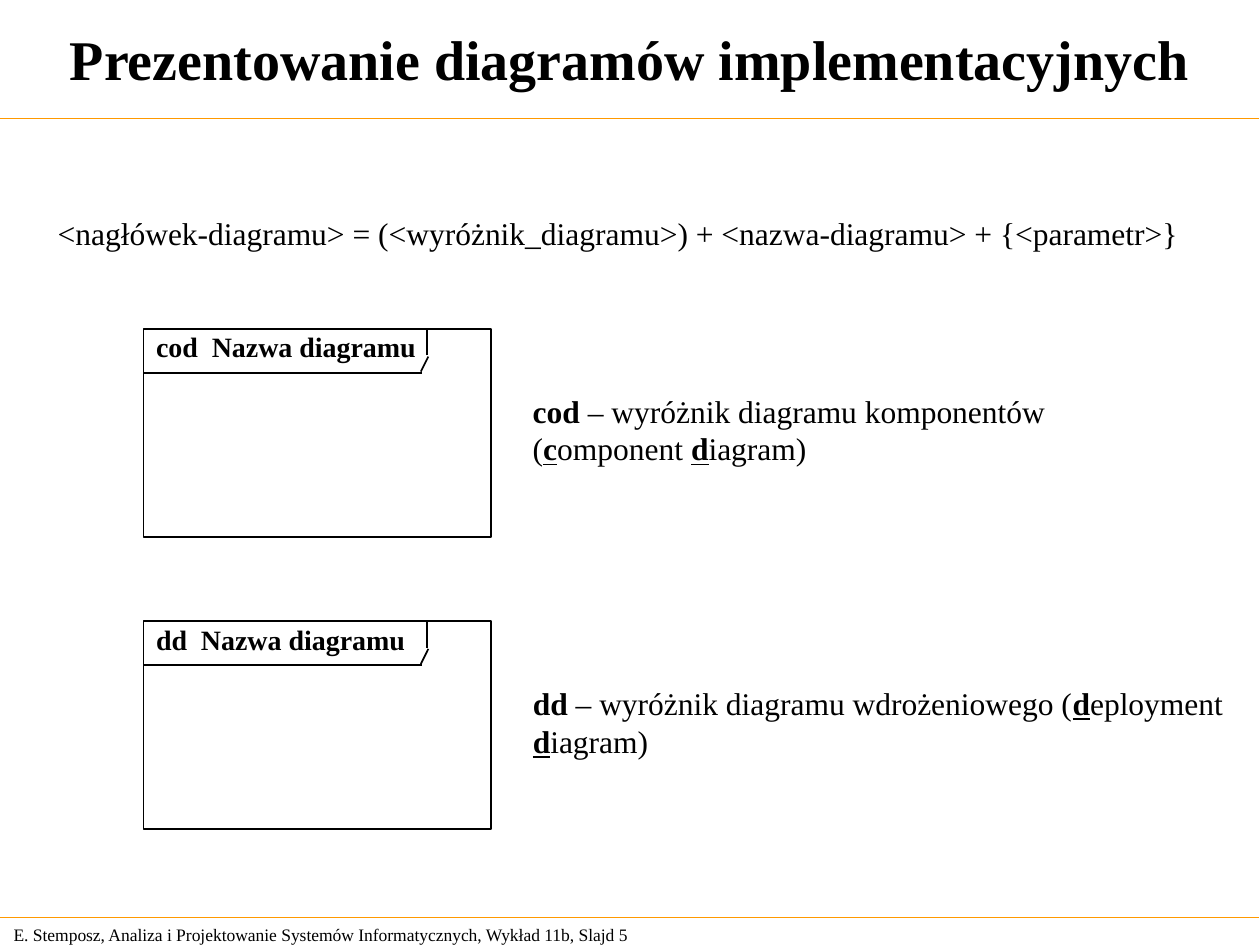
from dataclasses import dataclass

from lxml.etree import SubElement
from pptx import Presentation
from pptx.dml.color import RGBColor
from pptx.enum.shapes import MSO_CONNECTOR, MSO_SHAPE
from pptx.enum.text import MSO_ANCHOR, MSO_AUTO_SIZE, PP_ALIGN
from pptx.oxml.ns import qn
from pptx.util import Inches, Pt


@dataclass(frozen=True)
class Theme:
    font: str = "Times New Roman"
    ink: RGBColor = RGBColor(0x00, 0x00, 0x00)
    accent: RGBColor = RGBColor(0xFF, 0x99, 0x00)
    title_size: int = 32
    body_size: int = 18
    header_size: int = 16
    footer_size: int = 10
    frame_width: float = 1
    rule_width: float = 0.75


THEME = Theme()

# Content: runs are (text, style), with b for bold and u for underline
TITLE = "Prezentowanie diagramów implementacyjnych"
SYNTAX = "<nagłówek-diagramu> = (<wyróżnik_diagramu>) + <nazwa-diagramu> + {<parametr>}"
FOOTER = "E. Stemposz, Analiza i Projektowanie Systemów Informatycznych, Wykład 11b, Slajd 5"
DIAGRAMS = [
    {
        "header": "cod  Nazwa diagramu",
        "note_width": 5,
        "note": [("cod", "b"), (" – wyróżnik diagramu komponentów (", ""), ("c", "bu"),
                 ("omponent ", ""), ("d", "bu"), ("iagram)", "")],
    },
    {
        "header": "dd  Nazwa diagramu",
        "note_width": 5.79,
        "note": [("dd", "b"), (" – wyróżnik diagramu wdrożeniowego (", ""), ("d", "bu"),
                 ("eployment ", ""), ("d", "bu"), ("iagram)", "")],
    },
]

# Layout in inches
SLIDE_WIDTH, SLIDE_HEIGHT = 10, 7.5
RULE_LEFT, RULE_TOPS = -0.01, (0.94, 7.28)
FRAME_LEFT, FRAME_TOP, FRAME_WIDTH, FRAME_HEIGHT = 1.14, 2.61, 2.76, 1.65
FRAME_PITCH = 2.32
HEADER_WIDTH, HEADER_HEIGHT = 2.26, 0.37
NOTE_LEFT, NOTE_OFFSET = 4.13, 0.45
# Header tab edges, relative to the frame corner
TAB_EDGES = [
    ((0, 0.35), (2.21, 0.35)),
    ((2.2, 0.34), (2.26, 0.22)),
    ((2.25, 0.21), (2.25, 0)),
]


def style_paragraph(paragraph, size, bold=None):
    font = paragraph.font
    font.name, font.size, font.bold = THEME.font, Pt(size), bold
    font.color.rgb = THEME.ink


def add_text(shapes, runs, box, size, bold=None, wrap=True, anchor=MSO_ANCHOR.TOP):
    frame = shapes.add_textbox(*map(Inches, box)).text_frame
    frame.word_wrap = wrap
    frame.auto_size = MSO_AUTO_SIZE.SHAPE_TO_FIT_TEXT
    frame.vertical_anchor = anchor
    paragraph = frame.paragraphs[0]
    style_paragraph(paragraph, size, bold)
    for text, style in runs:
        run = paragraph.add_run()
        run.text = text
        if "b" in style:
            run.font.bold = True
        if "u" in style:
            run.font.underline = True


def add_line(shapes, start, end, color, width):
    line = shapes.add_connector(MSO_CONNECTOR.STRAIGHT, *map(Inches, (*start, *end)))
    line.line.color.rgb = color
    line.line.width = Pt(width)
    SubElement(line._element.spPr, qn("a:effectLst"))


def add_diagram(slide, diagram, top):
    shapes = slide.shapes.add_group_shape().shapes
    frame = shapes.add_shape(
        MSO_SHAPE.RECTANGLE,
        *map(Inches, (FRAME_LEFT, top, FRAME_WIDTH, FRAME_HEIGHT)))
    frame.shadow.inherit = False
    frame.fill.background()
    frame.line.color.rgb = THEME.ink
    frame.line.width = Pt(THEME.frame_width)

    # Header tab
    header_box = (FRAME_LEFT, top - 0.04, HEADER_WIDTH, HEADER_HEIGHT)
    add_text(shapes, [(diagram["header"], "")], header_box, THEME.header_size,
             bold=True, wrap=False)
    for edge in TAB_EDGES:
        start, end = [(FRAME_LEFT + x, top + y) for x, y in edge]
        add_line(shapes, start, end, THEME.ink, THEME.frame_width)

    note_box = (NOTE_LEFT, top + NOTE_OFFSET, diagram["note_width"], 0.7)
    add_text(slide.shapes, diagram["note"], note_box, THEME.body_size)


def main():
    prs = Presentation()
    prs.slide_width, prs.slide_height = Inches(SLIDE_WIDTH), Inches(SLIDE_HEIGHT)
    slide = prs.slides.add_slide(prs.slide_layouts[5])

    # Title
    title = slide.shapes.title
    title.left, title.top = Inches(0), Inches(0)
    title.width, title.height = Inches(SLIDE_WIDTH), Inches(0.92)
    title.text_frame.text = TITLE
    title.text_frame.vertical_anchor = MSO_ANCHOR.MIDDLE
    heading = title.text_frame.paragraphs[0]
    heading.alignment = PP_ALIGN.CENTER
    style_paragraph(heading, THEME.title_size, bold=True)

    # Rules and footer
    for top in RULE_TOPS:
        add_line(slide.shapes, (RULE_LEFT, top), (RULE_LEFT + SLIDE_WIDTH, top),
                 THEME.accent, THEME.rule_width)
    add_text(slide.shapes, [(FOOTER, "")], (0.01, 7.28, 5.24, 0.27),
             THEME.footer_size, anchor=MSO_ANCHOR.MIDDLE)

    # Header syntax
    add_text(slide.shapes, [(SYNTAX, "")], (0.36, 1.65, 9.1, 0.4),
             THEME.body_size, wrap=False)

    # Diagram frames with their notes
    for index, diagram in enumerate(DIAGRAMS):
        add_diagram(slide, diagram, FRAME_TOP + index * FRAME_PITCH)

    prs.save("out.pptx")


if __name__ == "__main__":
    main()
